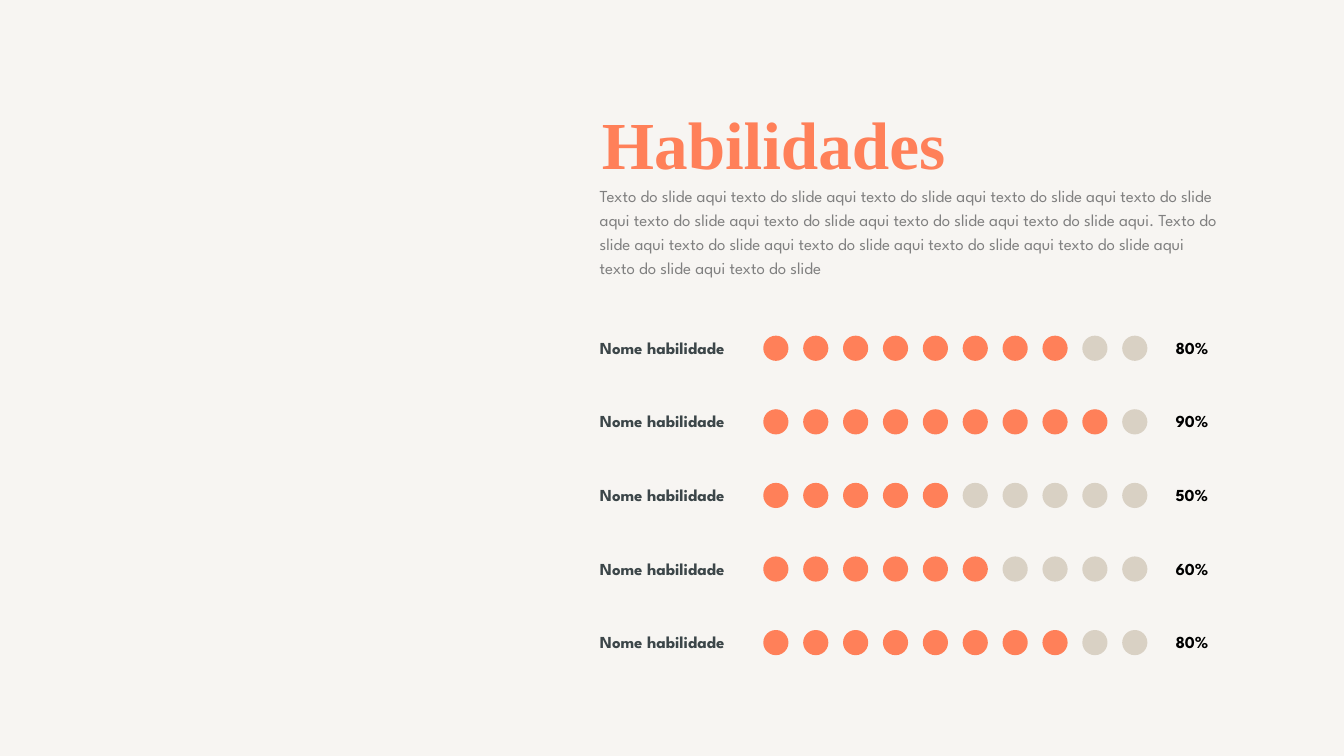
import dataclasses

import pptx
import pptx.dml.color
import pptx.enum.shapes
import pptx.enum.text
import pptx.util

Inches = pptx.util.Inches
Pt = pptx.util.Pt

TITLE = "Habilidades"
INTRO = (
    "Texto do slide aqui texto do slide aqui texto do slide aqui texto do slide aqui "
    "texto do slide aqui texto do slide aqui texto do slide aqui texto do slide aqui "
    "texto do slide aqui. Texto do slide aqui texto do slide aqui texto do slide aqui "
    "texto do slide aqui texto do slide aqui texto do slide aqui texto do slide"
)
SKILLS = [
    ("Nome habilidade", 80),
    ("Nome habilidade", 90),
    ("Nome habilidade", 50),
    ("Nome habilidade", 60),
    ("Nome habilidade", 80),
]


@dataclasses.dataclass(frozen=True)
class Theme:
    background: str = "F7F5F2"
    accent: str = "FF8059"
    empty: str = "D9D1C4"
    intro: str = "808080"
    label: str = "3C4649"
    value: str = "000000"
    title_font: str = "Times New Roman"
    body_font: str = "League Spartan"
    title_size: int = 48
    body_size: int = 12


THEME = Theme()

ROW_TOP, ROW_PITCH, ROW_HEIGHT = 3.3, 0.73, 0.3
LABEL_LEFT, LABEL_WIDTH = 5.95, 2.22
VALUE_LEFT, VALUE_WIDTH = 11.66, 0.67
DOT_COUNT, DOT_SIZE, DOT_DROP = 10, 0.25, 0.03
FIRST_DOT, LAST_DOT = 7.57, 11.13
DOT_PITCH = (LAST_DOT - FIRST_DOT) / (DOT_COUNT - 1)


def rgb(color):
    return pptx.dml.color.RGBColor.from_string(color)


def write(box, text, font, size, color, bold=False, side_inset=0.1):
    """Format the box's frame and put one run of text in it."""
    frame = box.text_frame
    frame.word_wrap = True
    frame.auto_size = pptx.enum.text.MSO_AUTO_SIZE.NONE
    frame.vertical_anchor = pptx.enum.text.MSO_ANCHOR.TOP
    frame.margin_left = frame.margin_right = Inches(side_inset)
    frame.margin_top = frame.margin_bottom = Inches(0.05)
    para = frame.paragraphs[0]
    para.alignment = pptx.enum.text.PP_ALIGN.LEFT
    span = para.add_run()
    span.text = text
    span.font.name = font
    span.font.size = Pt(size)
    span.font.bold = bold
    span.font.color.rgb = rgb(color)
    return para


def add_title(page):
    title = page.shapes.title
    title.left, title.top = Inches(5.87), Inches(0.79)
    title.width, title.height = Inches(4.24), Inches(1.08)
    para = write(title, TITLE, THEME.title_font, THEME.title_size, THEME.accent, bold=True)
    para.line_spacing = Pt(70)
    para.space_before = Pt(0)


def add_intro(page):
    box = page.shapes.add_textbox(Inches(5.85), Inches(1.75), Inches(6.33), Inches(1.05))
    para = write(box, INTRO, THEME.body_font, THEME.body_size, THEME.intro)
    para.line_spacing = 1.2


def add_row_text(page, text, left, top, width, color):
    box = page.shapes.add_textbox(Inches(left), Inches(top), Inches(width), Inches(ROW_HEIGHT))
    write(box, text, THEME.body_font, THEME.body_size, color, bold=True, side_inset=0)
    box.text_frame.auto_size = pptx.enum.text.MSO_AUTO_SIZE.SHAPE_TO_FIT_TEXT


def add_dot(page, left, top, color):
    dot = page.shapes.add_shape(
        pptx.enum.shapes.MSO_SHAPE.OVAL,
        Inches(left), Inches(top), Inches(DOT_SIZE), Inches(DOT_SIZE),
    )
    dot.shadow.inherit = False
    dot.fill.solid()
    dot.fill.fore_color.rgb = rgb(color)
    dot.line.fill.background()


def add_skill(page, row, name, percent):
    top = ROW_TOP + row * ROW_PITCH
    add_row_text(page, name, LABEL_LEFT, top, LABEL_WIDTH, THEME.label)
    add_row_text(page, f"{percent}%", VALUE_LEFT, top, VALUE_WIDTH, THEME.value)
    filled = percent * DOT_COUNT // 100
    for index in range(DOT_COUNT):
        color = THEME.accent if index < filled else THEME.empty
        add_dot(page, FIRST_DOT + index * DOT_PITCH, top + DOT_DROP, color)


def main():
    deck = pptx.Presentation()
    deck.slide_width, deck.slide_height = Inches(13.33), Inches(7.5)
    page = deck.slides.add_slide(deck.slide_layouts.get_by_name("Title Only"))
    page.background.fill.solid()
    page.background.fill.fore_color.rgb = rgb(THEME.background)
    add_intro(page)
    add_title(page)
    for row, (name, percent) in enumerate(SKILLS):
        add_skill(page, row, name, percent)
    deck.save("out.pptx")


if __name__ == "__main__":
    main()
